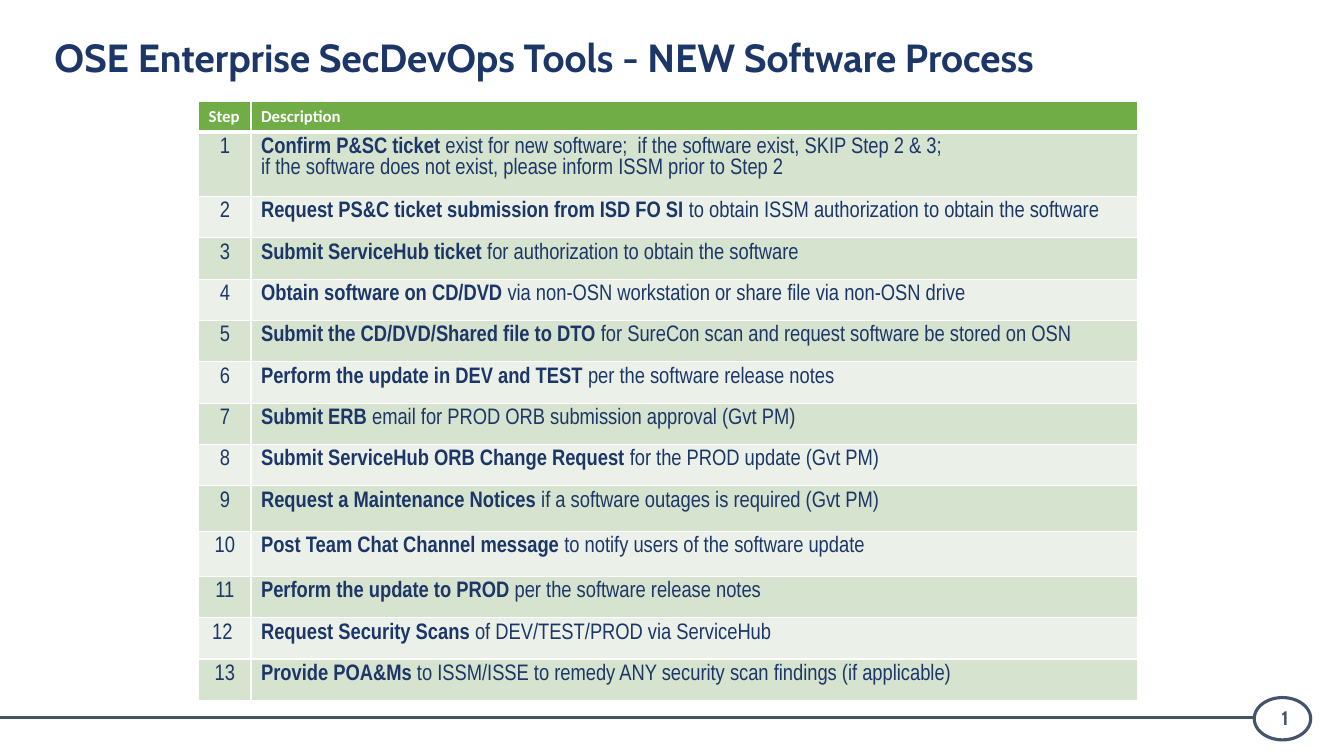
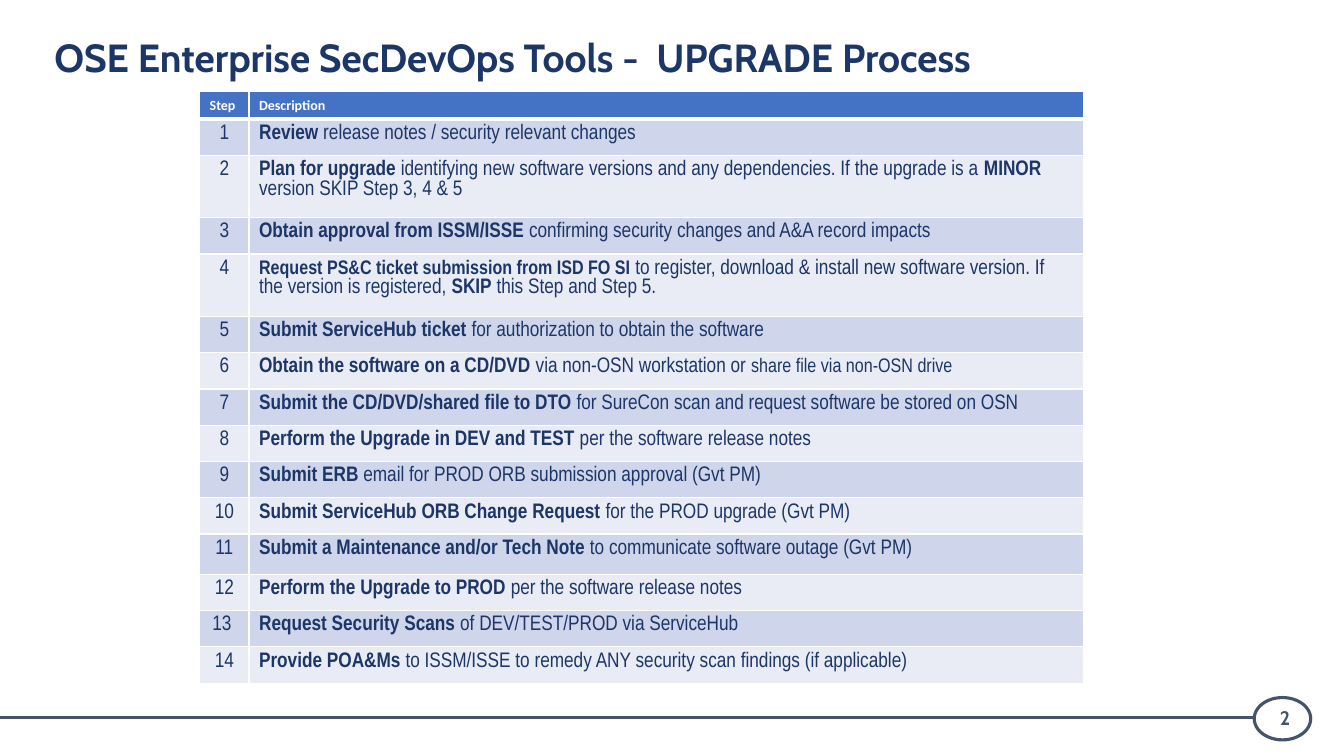
from lxml import etree
from pptx import Presentation
from pptx.dml.color import RGBColor
from pptx.enum.shapes import MSO_CONNECTOR, MSO_SHAPE
from pptx.enum.text import MSO_ANCHOR, PP_ALIGN
from pptx.oxml.ns import qn
from pptx.util import Inches, Pt

LEFT, CENTER = PP_ALIGN.LEFT, PP_ALIGN.CENTER
TOP, MIDDLE = MSO_ANCHOR.TOP, MSO_ANCHOR.MIDDLE
OVAL, STRAIGHT = MSO_SHAPE.OVAL, MSO_CONNECTOR.STRAIGHT

# Shared look
NAVY, SLATE, WHITE = "1C3667", "44546A", "FFFFFF"
TITLE_FONT, HEADER_FONT, BODY_FONT = "Cabin", "Calibri", "Arial Narrow"
TITLE_BOX = (0.44, 0.33, 12.35, 0.83)
NUMBER_BOX = (12.26, 6.96, 0.97, 0.33)
OVAL_BOX = (12.44, 6.92, 0.56, 0.42)
RULE_Y = 7.12

# Each step lists its spans, bold and regular in turn; a pair adds a font size
NEW_SOFTWARE = {
    "title": "OSE Enterprise SecDevOps Tools - NEW Software Process",
    "left": 1.97, "top": 1.01, "columns": (0.52, 8.79),
    "header_height": 0.3, "row_height": 0.41,
    "tall_rows": {1: 0.64, 9: 0.45, 10: 0.45},
    "header_size": 12, "body_size": 16,
    "header_fill": "70AD47", "bands": ("D5E3CF", "EBF1E9"),
    "steps": [
        ("Confirm P&SC ticket ",
         "exist for new software;  if the software exist, SKIP Step 2 & 3; \n"
         "if the software does not exist, please inform ISSM prior to Step 2"),
        ("Request PS&C ticket submission from ISD FO SI ",
         "to obtain ISSM authorization to obtain the software"),
        ("Submit ServiceHub ticket ", "for authorization to obtain the software"),
        ("Obtain software on CD/DVD ",
         "via non-OSN workstation or share file via non-OSN drive"),
        ("Submit the CD/DVD/Shared file to DTO ",
         "for SureCon scan and request software be stored on OSN"),
        ("Perform the update in DEV and TEST ", "per the software release notes"),
        ("Submit ERB ", "email for PROD ORB submission approval (Gvt PM)"),
        ("Submit ServiceHub ORB Change Request ", "for the PROD update (Gvt PM)"),
        ("Request a Maintenance Notices ",
         "if a software outages is required (Gvt PM)"),
        ("Post Team Chat Channel message ",
         "to notify users of the software update"),
        ("Perform the update to PROD ", "per the software release notes"),
        ("Request Security Scans ", "of DEV/TEST/PROD via ServiceHub"),
        ("Provide POA&Ms ",
         "to ISSM/ISSE to remedy ANY security scan findings (if applicable)"),
    ],
    "labels": {12: "12 "},
}

UPGRADE = {
    "title": "OSE Enterprise SecDevOps Tools -  UPGRADE Process",
    "left": 1.98, "top": 0.91, "columns": (0.49, 8.28),
    "header_height": 0.27, "row_height": 0.36,
    "tall_rows": {2: 0.62, 4: 0.62, 11: 0.4},
    "header_size": 10, "body_size": 15,
    "header_fill": "4472C4", "bands": ("CFD5EA", "E9EBF5"),
    "steps": [
        ("Review", " release notes / security relevant changes"),
        ("Plan for upgrade ",
         "identifying new software versions and any dependencies. "
         "If the upgrade is a ", "MINOR", " version SKIP Step 3, 4 & 5"),
        ("Obtain approval from ISSM/ISSE ",
         "confirming security changes and A&A record impacts"),
        (("Request PS&C ticket submission from ISD FO SI ", 14),
         "to register, download & install new software version. "
         "If the version is registered, ", "SKIP", " this Step and Step 5."),
        ("Submit ServiceHub ticket ", "for authorization to obtain the software"),
        ("Obtain the software on a CD/DVD ", "via non-OSN workstation or ",
         "", ("share file via non-OSN drive", 14)),
        ("Submit the CD/DVD/shared file to DTO ",
         "for SureCon scan and request software be stored on OSN"),
        ("Perform the Upgrade in DEV and TEST ", "per the software release notes"),
        ("Submit ERB ", "email for PROD ORB submission approval (Gvt PM)"),
        ("Submit ServiceHub ORB Change Request ", "for the PROD upgrade (Gvt PM)"),
        ("Submit a Maintenance and/or Tech Note ",
         "to communicate software outage (Gvt PM)"),
        ("Perform the Upgrade to PROD ", "per the software release notes"),
        ("Request Security Scans ", "of DEV/TEST/PROD via ServiceHub"),
        ("Provide POA&Ms ",
         "to ISSM/ISSE to remedy ANY security scan findings (if applicable)"),
    ],
    "labels": {13: "13 "},
}


def color(code):
    return RGBColor.from_string(code)


def inches(values):
    return [Inches(value) for value in values]


def add_text(para, text, font=BODY_FONT, size=16, fill=NAVY, bold=False, align=LEFT):
    """Append text to a paragraph, with a line break at each newline."""
    para.alignment = align
    for index, line in enumerate(text.split("\n")):
        if index:
            para.add_line_break()
        span = para.add_run()
        span.text = line
        span.font.name, span.font.size, span.font.bold = font, Pt(size), bold
        span.font.color.rgb = color(fill)


def add_label(page, area, text, anchor=TOP, spacing=1.0, **text_format):
    box = page.shapes.add_textbox(*inches(area))
    box.text_frame.word_wrap = True
    box.text_frame.vertical_anchor = anchor
    para = box.text_frame.paragraphs[0]
    para.line_spacing = spacing
    add_text(para, text, font=TITLE_FONT, bold=True, **text_format)


def style_line(line):
    line.color.rgb = color(SLATE)
    line.width = Pt(2.25)


def style_cell(cell, fill, top=1, bottom=1):
    """Give a cell white borders (widths in points) and a solid fill."""
    properties = cell._tc.get_or_add_tcPr()
    for side, width in (("L", 1), ("R", 1), ("T", top), ("B", bottom)):
        border = etree.SubElement(properties, qn("a:ln" + side), w=str(Pt(width)))
        paint = etree.SubElement(border, qn("a:solidFill"))
        etree.SubElement(paint, qn("a:srgbClr"), val=WHITE)
    cell.fill.solid()
    cell.fill.fore_color.rgb = color(fill)


def add_footer(page, number):
    left, top, width, height = OVAL_BOX
    rule = page.shapes.add_connector(
        STRAIGHT, *inches((0, RULE_Y, left, RULE_Y)))
    etree.SubElement(rule._element.spPr, qn("a:effectLst"))
    style_line(rule.line)
    oval = page.shapes.add_shape(OVAL, *inches((left, top, width, height)))
    oval.shadow.inherit = False
    oval.fill.background()
    style_line(oval.line)
    add_label(page, NUMBER_BOX, str(number), anchor=MIDDLE,
              size=14, fill=SLATE, align=CENTER)


def add_step_table(page, process):
    steps, columns = process["steps"], process["columns"]
    heights = [process["header_height"]] + [
        process["tall_rows"].get(number, process["row_height"])
        for number in range(1, len(steps) + 1)]
    area = (process["left"], process["top"], sum(columns), sum(heights))
    table = page.shapes.add_table(len(heights), len(columns), *inches(area)).table
    for column, width in zip(table.columns, columns):
        column.width = Inches(width)
    for row, height in zip(table.rows, heights):
        row.height = Inches(height)

    # Header row
    for index, heading in enumerate(("Step", "Description")):
        cell = table.cell(0, index)
        style_cell(cell, process["header_fill"], bottom=3)
        add_text(cell.text_frame.paragraphs[0], heading, font=HEADER_FONT,
                 size=process["header_size"], fill=WHITE, bold=True)

    # Numbered steps in alternating bands
    for number, spans in enumerate(steps, 1):
        label_cell, step_cell = table.cell(number, 0), table.cell(number, 1)
        for cell in (label_cell, step_cell):
            style_cell(cell, process["bands"][(number - 1) % 2],
                       top=3 if number == 1 else 1)
        add_text(label_cell.text_frame.paragraphs[0],
                 process["labels"].get(number, str(number)),
                 size=process["body_size"], align=CENTER)
        for index, span in enumerate(spans):
            text, size = (span if isinstance(span, tuple)
                          else (span, process["body_size"]))
            if text:
                add_text(step_cell.text_frame.paragraphs[0], text,
                         size=size, bold=index % 2 == 0)


def add_process_page(deck, number, process):
    page = deck.slides.add_slide(deck.slide_layouts[6])
    add_footer(page, number)
    add_label(page, TITLE_BOX, process["title"], spacing=0.9, size=28)
    add_step_table(page, process)


def main():
    deck = Presentation()
    deck.slide_width, deck.slide_height = Inches(13.33), Inches(7.5)
    for number, process in enumerate((NEW_SOFTWARE, UPGRADE), 1):
        add_process_page(deck, number, process)
    deck.save("out.pptx")


if __name__ == "__main__":
    main()
